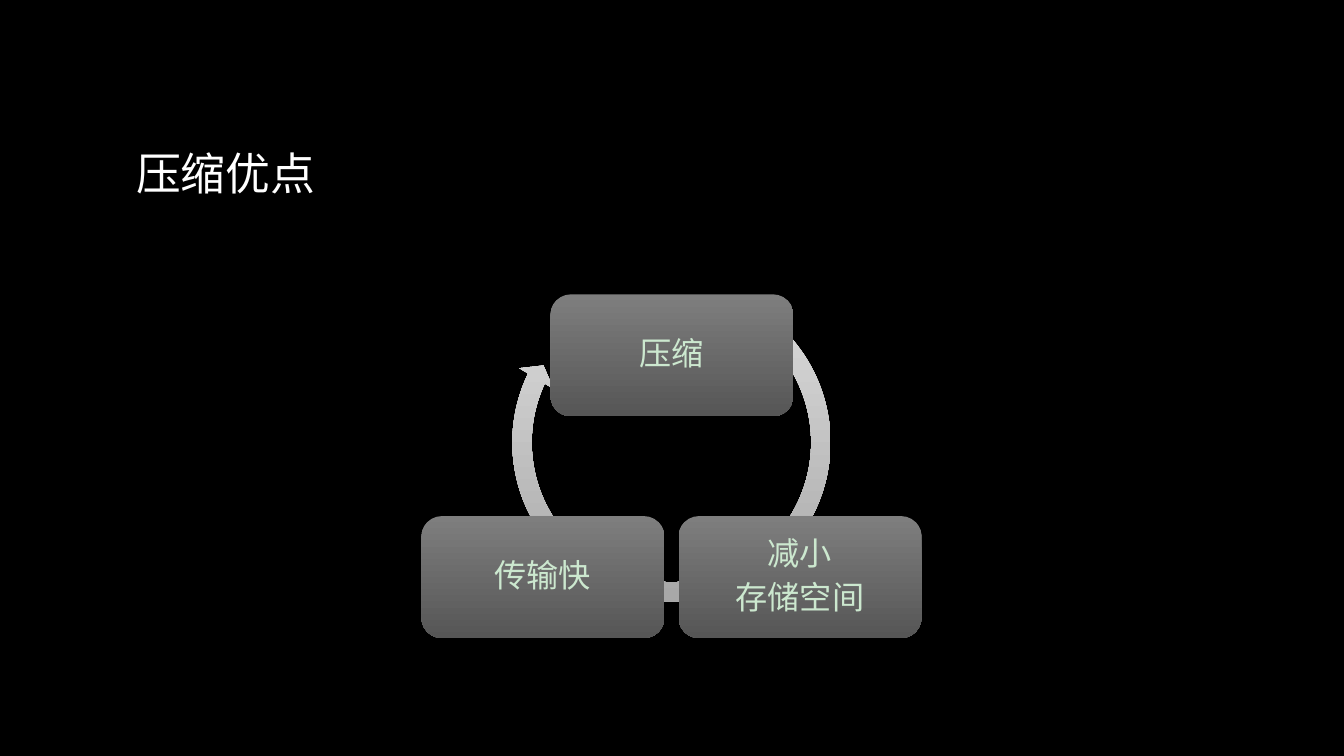
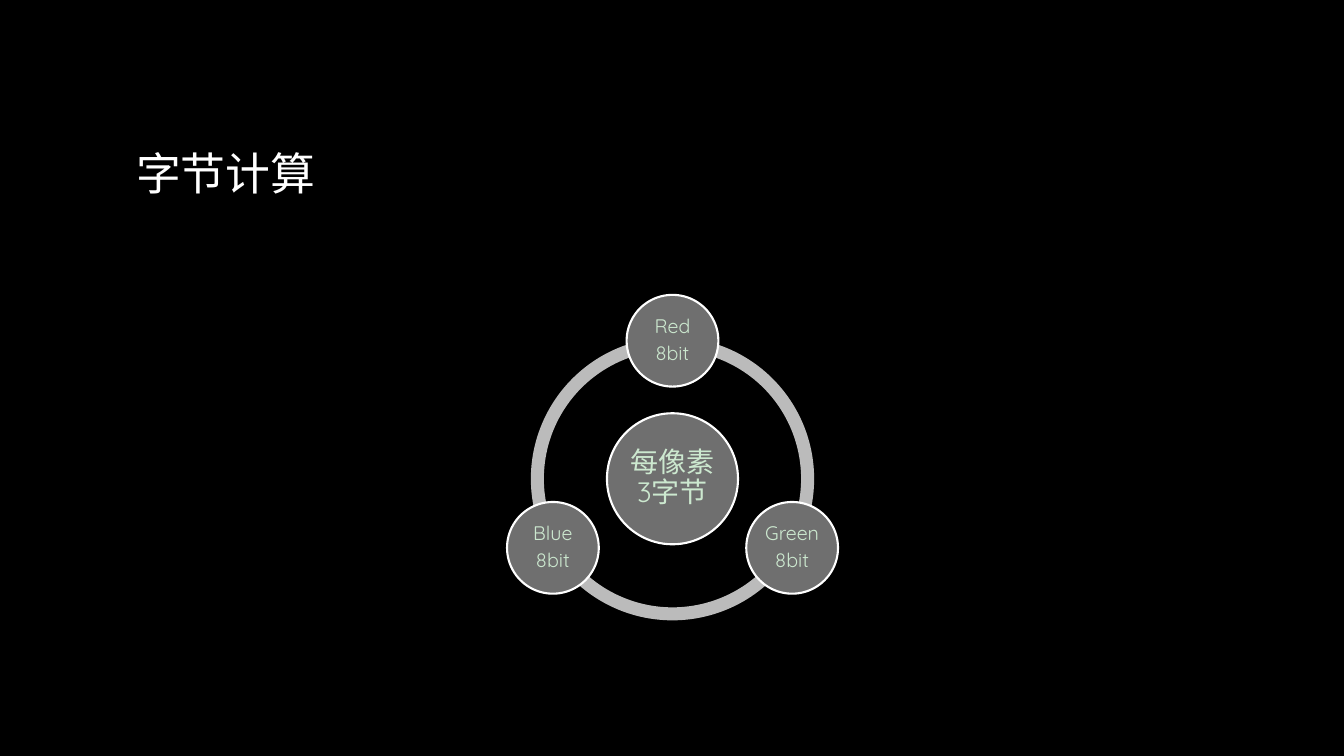
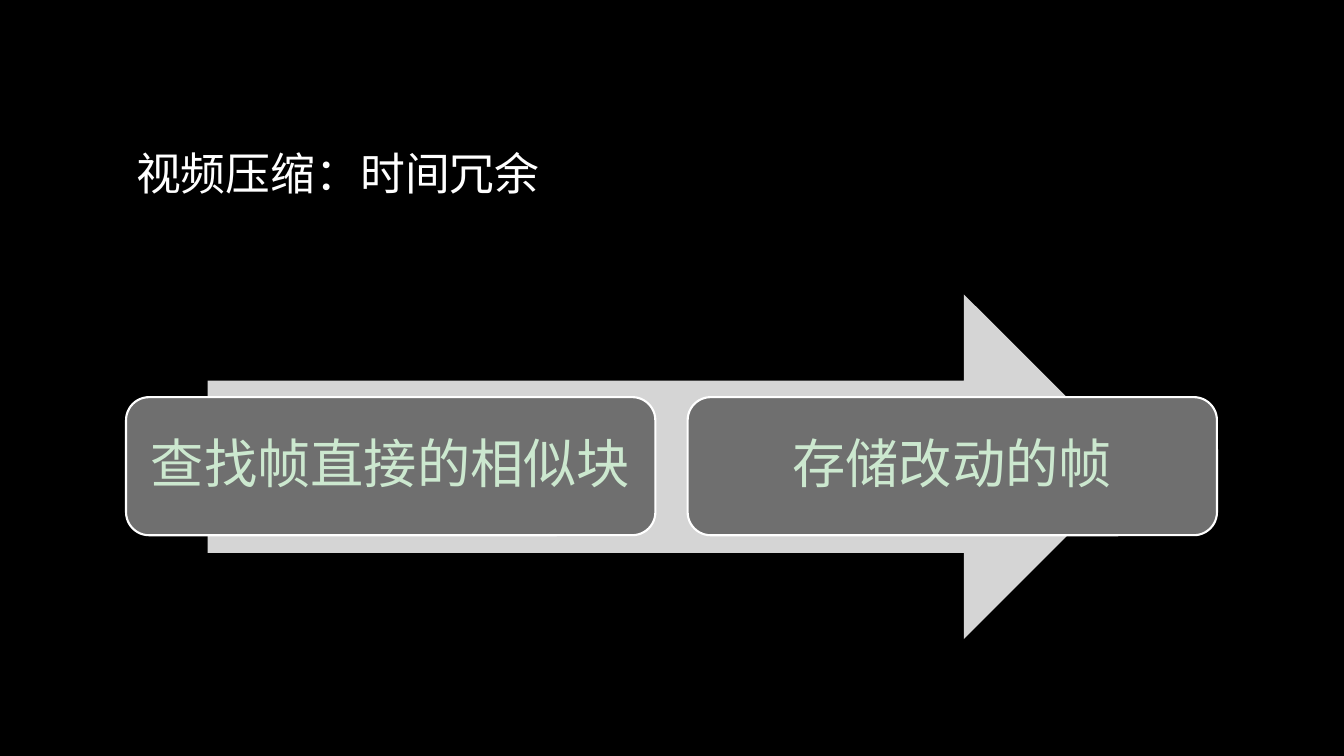
from dataclasses import dataclass
from math import cos, radians, sin

from pptx import Presentation
from pptx.dml.color import RGBColor
from pptx.enum.shapes import MSO_SHAPE as SHAPE
from pptx.enum.text import MSO_ANCHOR as ANCHOR, PP_ALIGN as ALIGN
from pptx.util import Inches, Pt


@dataclass(frozen=True)
class Theme:
    font: str = "Quicksand"
    background: str = "000000"
    title: str = "FFFFFF"
    text: str = "CCE8CF"
    outline: str = "FFFFFF"
    node: str = "6F6F6F"
    ring: str = "BBBBBB"
    arrow: str = "D5D5D5"
    node_gradient: tuple = ("7E7E7E", "565656")
    arrow_gradient: tuple = ("DFDFDF", "A6A6A6")
    title_size: int = 32
    process_size: int = 38
    cycle_size: int = 23
    hub_size: int = 20
    satellite_size: int = 14
    outline_width: float = 1.5
    line_spacing: float = 0.9
    paragraph_gap: float = 0.3


class Deck:
    def __init__(self, theme):
        self.theme = theme
        self.prs = Presentation()
        self.prs.slide_width = Inches(13.33)
        self.prs.slide_height = Inches(7.5)
        self.slide = None
        fill = self.prs.slide_master.background.fill
        fill.solid()
        fill.fore_color.rgb = RGBColor.from_string(theme.background)

    def add_slide(self, title):
        self.slide = self.prs.slides.add_slide(self.prs.slide_layouts[5])
        sp = self.slide.shapes.title
        sp.left, sp.top = Inches(1.25), Inches(0.67)
        sp.width, sp.height = Inches(10.83), Inches(2.08)
        tf = sp.text_frame
        tf.text = title
        tf.word_wrap = True
        tf.vertical_anchor = ANCHOR.MIDDLE
        p = tf.paragraphs[0]
        p.alignment = ALIGN.LEFT
        self.style_font(p, self.theme.title_size, self.theme.title)

    def style_font(self, p, size, color):
        p.font.name = self.theme.font
        p.font.size = Pt(size)
        p.font.color.rgb = RGBColor.from_string(color)

    def add_shape(self, kind, left, top, width, height, fill, adjustments=(), outlined=False):
        sp = self.slide.shapes.add_shape(
            kind, Inches(left), Inches(top), Inches(width), Inches(height))
        sp.shadow.inherit = False
        for i, value in enumerate(adjustments):
            sp.adjustments[i] = value
        if isinstance(fill, tuple):
            sp.fill.gradient()
            sp.fill.gradient_angle = 270
            for i, (stop, color) in enumerate(zip(sp.fill.gradient_stops, fill)):
                stop.position = i
                stop.color.rgb = RGBColor.from_string(color)
        else:
            sp.fill.solid()
            sp.fill.fore_color.rgb = RGBColor.from_string(fill)
        if outlined:
            sp.line.color.rgb = RGBColor.from_string(self.theme.outline)
            sp.line.width = Pt(self.theme.outline_width)
        else:
            sp.line.fill.background()
        return sp

    def add_label(self, sp, lines, size, inset):
        tf = sp.text_frame
        tf.word_wrap = True
        tf.vertical_anchor = ANCHOR.MIDDLE
        tf.margin_left = tf.margin_right = Inches(inset)
        tf.margin_top = tf.margin_bottom = Inches(inset)
        tf.text = "\n".join(lines)
        for p in tf.paragraphs:
            p.alignment = ALIGN.CENTER
            p.line_spacing = self.theme.line_spacing
            p.space_after = Pt(size * self.theme.paragraph_gap)
            self.style_font(p, size, self.theme.text)

    def add_cycle_box(self, left, top, lines):
        sp = self.add_shape(SHAPE.ROUNDED_RECTANGLE, left, top, 2.41, 1.21,
                            self.theme.node_gradient)
        self.add_label(sp, lines, self.theme.cycle_size, 0.1)

    def add_process_box(self, left, text):
        sp = self.add_shape(SHAPE.ROUNDED_RECTANGLE, left, 3.94, 5.25, 1.37,
                            self.theme.node, outlined=True)
        self.add_label(sp, [text], self.theme.process_size, 0.16)

    def add_circle(self, cx, cy, diameter, lines, size, inset):
        sp = self.add_shape(SHAPE.OVAL, cx - diameter / 2, cy - diameter / 2,
                            diameter, diameter, self.theme.node, outlined=True)
        self.add_label(sp, lines, size, inset)

    def add_ring_arc(self, cx, cy, diameter, start, end):
        units_per_degree = 0.6
        self.add_shape(SHAPE.BLOCK_ARC, cx - diameter / 2, cy - diameter / 2,
                       diameter, diameter, self.theme.ring,
                       (start * units_per_degree, end * units_per_degree, 0.046))


def build_benefits(deck):
    deck.add_slide("压缩优点")
    deck.add_shape(SHAPE.CIRCULAR_ARROW, 4.98, 2.71, 3.36, 3.36,
                   deck.theme.arrow_gradient, (0.057, 3.405, 123.206, 183.426, 0.059))
    for left, top, lines in ((5.46, 2.92, ["压缩"]),
                             (6.73, 5.12, ["减小", "存储空间"]),
                             (4.18, 5.12, ["传输快"])):
        deck.add_cycle_box(left, top, lines)


def build_byte_count(deck):
    theme = deck.theme
    cx, cy, orbit = 6.67, 4.75, 1.37
    deck.add_slide("字节计算")
    for start in (150, 270, 30):
        deck.add_ring_arc(cx, cy, 2.81, start, (start + 120) % 360)
    deck.add_circle(cx, cy, 1.3, ["每像素3字节"], theme.hub_size, 0.03)
    for i, channel in enumerate(("Red", "Green", "Blue")):
        angle = radians(-90 + 120 * i)
        deck.add_circle(cx + orbit * cos(angle), cy + orbit * sin(angle), 0.91,
                        [channel, "8bit"], theme.satellite_size, 0.02)


def build_time_redundancy(deck):
    deck.add_slide("视频压缩：时间冗余")
    deck.add_shape(SHAPE.RIGHT_ARROW, 2.06, 2.92, 9.21, 3.42, deck.theme.arrow)
    for i, text in enumerate(("查找帧直接的相似块", "存储改动的帧")):
        deck.add_process_box(1.25 + 5.57 * i, text)


def main():
    deck = Deck(Theme())
    build_benefits(deck)
    build_byte_count(deck)
    build_time_redundancy(deck)
    deck.prs.save("out.pptx")


if __name__ == "__main__":
    main()
